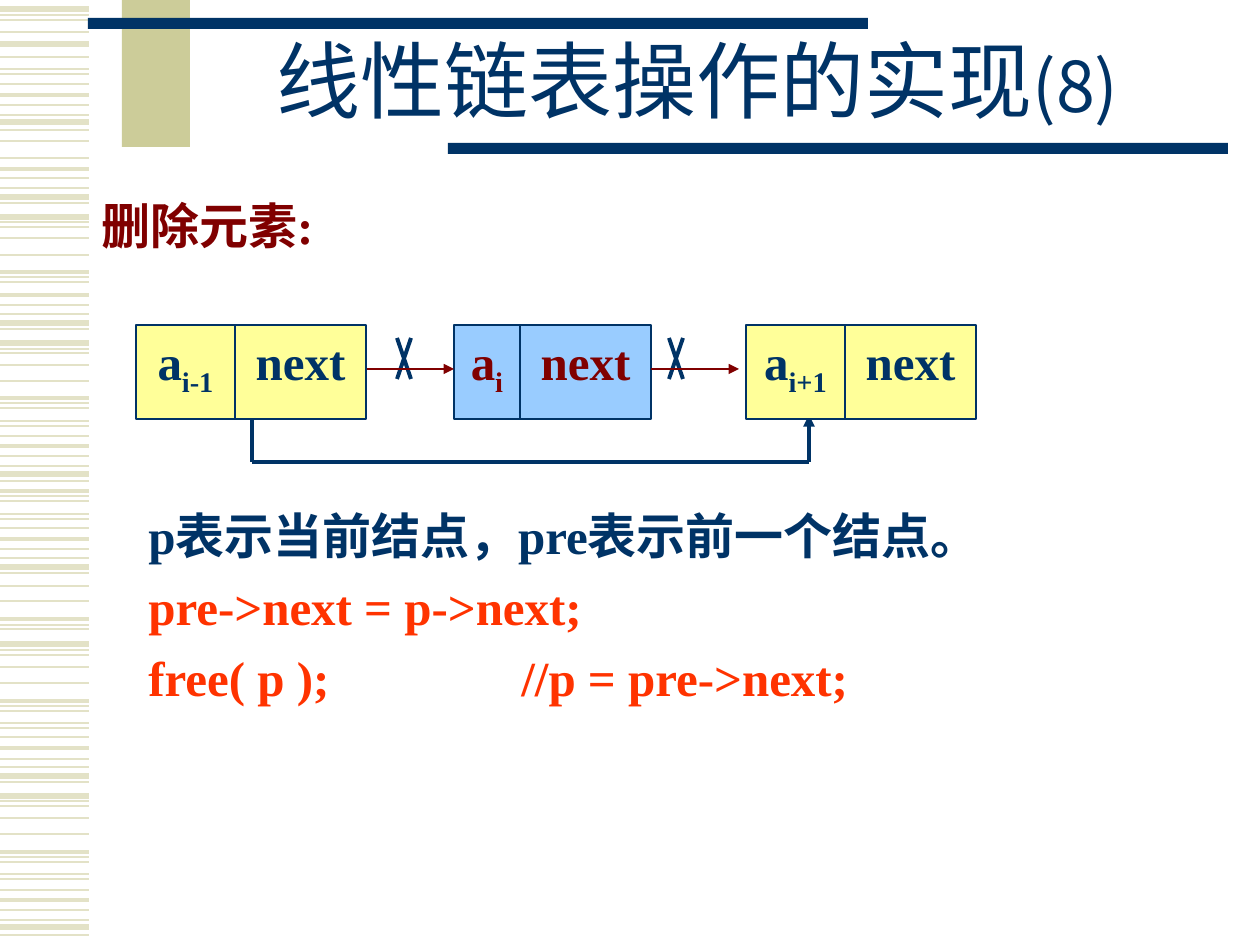
from lxml.etree import SubElement
from pptx import Presentation
from pptx.dml.color import RGBColor
from pptx.enum.shapes import MSO_CONNECTOR as CONN, MSO_SHAPE as SHAPE
from pptx.enum.text import MSO_ANCHOR as ANCHOR, PP_ALIGN as ALIGN
from pptx.oxml.ns import qn
from pptx.util import Pt

PX = 914400 / 126
SERIF, SANS = "Times New Roman", "Noto Sans CJK JP"
C = {k: RGBColor.from_string(v) for k, v in {
    "navy": "003366", "maroon": "800000", "red": "FF3300", "khaki": "CCCC99",
    "stripe": "E3E2C7", "yellow": "FFFF99", "blue": "99CCFF",
}.items()}

prs = Presentation()
prs.slide_width, prs.slide_height = int(1260 * PX), int(945 * PX)
s = prs.slides.add_slide(prs.slide_layouts[6])


def line(x1, y1, x2, y2, color, weight, arrow=False):
    cn = s.shapes.add_connector(CONN.STRAIGHT, *(round(v * PX) for v in (x1, y1, x2, y2)))
    cn.line.color.rgb = C[color]
    cn.line.width = Pt(weight)
    if arrow:
        SubElement(cn.line._get_or_add_ln(), qn("a:tailEnd"), type="triangle")
    SubElement(cn._element.spPr, qn("a:effectLst"))


def style(p, color, size=28, name=SERIF, bold=True):
    f = p.font
    f.name, f.size, f.bold = name, Pt(size), bold
    f.color.rgb = C[color]
    SubElement(p._p.pPr.find(qn("a:defRPr")), qn("a:ea"), typeface=SANS)


stripes = {
    3: [9, 44, 122, 197, 217, 323, 343, 474, 567, 644, 776, 796, 927],
    2.25: [95, 169, 272, 295, 398, 446, 491, 539, 619, 701, 748, 852, 900],
    1.5: [57, 74, 105, 130, 178, 203, 282, 305, 329, 408, 426, 456, 481, 501,
          519, 549, 573, 629, 711, 728, 759, 782, 862, 879, 910, 935],
    1: [20, 32, 84, 141, 158, 227, 238, 255, 353, 365, 381, 436, 528, 586,
        601, 655, 667, 683, 737, 806, 818, 834, 890],
    0.75: [15, 69, 115, 188, 222, 277, 314, 349, 403, 421, 466, 496, 514, 558,
           625, 650, 706, 723, 767, 801, 857, 874, 920],
}
for weight, rows in stripes.items():
    for y in rows:
        line(0, y, 89, y, "stripe", weight)

for x, y, w, h, color in [
    (122, 0, 68, 147, "khaki"),
    (88, 18, 780, 11, "navy"),
    (448, 143, 780, 11, "navy"),
]:
    sp = s.shapes.add_shape(SHAPE.RECTANGLE, *(round(v * PX) for v in (x, y, w, h)))
    sp.shadow.inherit = False
    sp.fill.solid()
    sp.fill.fore_color.rgb = C[color]
    sp.line.fill.background()

tf = s.shapes.add_textbox(*(round(v * PX) for v in (189, 24, 1017, 126))).text_frame
tf.word_wrap = True
tf.vertical_anchor = ANCHOR.MIDDLE
p = tf.paragraphs[0]
p.alignment = ALIGN.CENTER
p.line_spacing = 0.85
style(p, "navy", 48, SANS, False)
for text, size in [("线性链表操作的实现", 48), ("(8)", 40)]:
    r = p.add_run()
    r.text = text
    r.font.size = Pt(size)

tf = s.shapes.add_textbox(*(round(v * PX) for v in (136, 499, 1071, 310))).text_frame
tf.word_wrap = True
for i, (text, color) in enumerate([
    ("p表示当前结点，pre表示前一个结点。", "navy"),
    ("pre->next = p->next;", "red"),
    ("free( p );\t//p = pre->next;", "red"),
]):
    p = tf.add_paragraph() if i else tf.paragraphs[0]
    p.text = text
    p.space_before = Pt(7)
    style(p, color)
tabs = SubElement(p._p.pPr, qn("a:tabLst"))
SubElement(tabs, qn("a:tab"), pos=str(round(373 * PX)), algn="l")
p._p.pPr.find(qn("a:defRPr")).addprevious(tabs)

line(252, 415, 252, 462, "navy", 2.25)
line(252, 462, 809, 462, "navy", 2.25)
line(809, 462, 809, 415, "navy", 2.25, True)

for x in (397, 669):
    line(x, 338, x + 14, 379, "navy", 2.25)
    line(x, 379, x + 14, 338, "navy", 2.25)

tf = s.shapes.add_textbox(*(round(v * PX) for v in (89, 189, 248, 72))).text_frame
tf.word_wrap = False
p = tf.paragraphs[0]
p.text = "删除元素:"
style(p, "maroon")

for x, split, sub, fill, color in [
    (136, 235, "i-1", "yellow", "navy"),
    (454, 520, "i", "blue", "maroon"),
    (746, 845, "i+1", "yellow", "navy"),
]:
    for left, w, parts in [(x, split - x, ("a", sub)), (split, 131, ("next",))]:
        sp = s.shapes.add_shape(SHAPE.RECTANGLE, *(round(v * PX) for v in (left, 325, w, 94)))
        sp.shadow.inherit = False
        sp.fill.solid()
        sp.fill.fore_color.rgb = C[fill]
        sp.line.color.rgb = C["navy"]
        sp.line.width = Pt(0.75)
        tf = sp.text_frame
        tf.vertical_anchor = ANCHOR.TOP
        p = tf.paragraphs[0]
        p.alignment = ALIGN.CENTER
        style(p, color)
        for text in parts:
            r = p.add_run()
            r.text = text
            if text == sub:
                r._r.get_or_add_rPr().set("baseline", "-25000")

for x1, x2 in [(367, 454), (651, 739)]:
    line(x1, 369, x2, 369, "maroon", 0.75, True)

prs.save("out.pptx")
